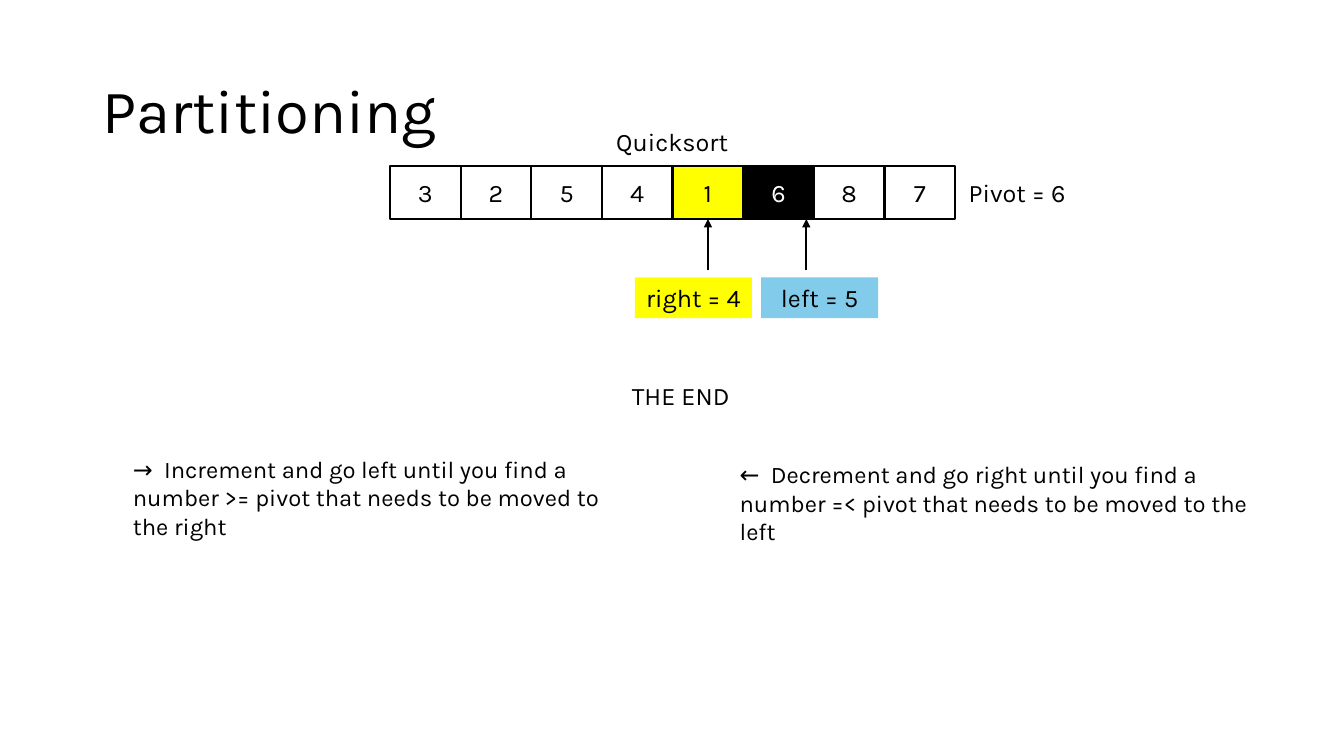
from lxml import etree
from pptx import Presentation
from pptx.dml.color import RGBColor
from pptx.enum import shapes, text
from pptx.oxml import ns
from pptx.util import Cm, Pt

FONT = "Karla"
BLACK, WHITE, YELLOW, BLUE = "000000", "FFFFFF", "FFFF00", "83CBEB"
LEFT = text.PP_ALIGN.LEFT
MID = text.PP_ALIGN.CENTER

VALUES = [3, 2, 5, 4, 1, 6, 8, 7]
MARKS = {4: (YELLOW, BLACK), 5: (BLACK, WHITE)}
ROW_X, ROW_Y, CELL_W, CELL_H = 9.83, 4.18, 1.78, 1.34
TAIL_Y = 6.81


def rgb(code):
    return RGBColor.from_string(code)


def write(frame, words, size=18, color=BLACK, align=LEFT):
    """Put one formatted run in the first paragraph of a text frame."""
    para = frame.paragraphs[0]
    para.alignment = align
    run = para.add_run()
    run.text = words
    run.font.name = FONT
    run.font.size = Pt(size)
    run.font.color.rgb = rgb(color)
    return para


def title(slide, words):
    shape = slide.shapes.title
    shape.left, shape.top = Cm(2.33), Cm(1.01)
    shape.width, shape.height = Cm(29.21), Cm(3.68)
    frame = shape.text_frame
    frame.auto_size = text.MSO_AUTO_SIZE.NONE
    frame.vertical_anchor = text.MSO_ANCHOR.MIDDLE
    write(frame, words, 44).line_spacing = 0.9


def note(slide, words, x, y, w, h=1.03, size=18, align=LEFT):
    frame = slide.shapes.add_textbox(Cm(x), Cm(y), Cm(w), Cm(h)).text_frame
    frame.word_wrap = True
    write(frame, words, size, align=align)


def box(slide, words, x, y, w, h, fill, color=BLACK, edge=None):
    shape = slide.shapes.add_shape(
        shapes.MSO_SHAPE.RECTANGLE, Cm(x), Cm(y), Cm(w), Cm(h))
    shape.shadow.inherit = False
    shape.fill.solid()
    shape.fill.fore_color.rgb = rgb(fill)
    if edge:
        shape.line.color.rgb = rgb(edge)
        shape.line.width = Pt(1.5)
    else:
        shape.line.fill.background()
    frame = shape.text_frame
    frame.word_wrap = False
    frame.vertical_anchor = text.MSO_ANCHOR.MIDDLE
    write(frame, words, color=color, align=MID)
    return shape


def row(slide):
    """Draw the array and return its cells."""
    cells = []
    for i, value in enumerate(VALUES):
        fill, color = MARKS.get(i, (WHITE, BLACK))
        cells.append(box(slide, str(value), ROW_X + i * CELL_W, ROW_Y,
                         CELL_W, CELL_H, fill, color, BLACK))
    return cells


def arrow(slide, x, cell=None):
    """Point up at the array, joined to a cell when one is given."""
    line = slide.shapes.add_connector(
        shapes.MSO_CONNECTOR.STRAIGHT,
        Cm(x), Cm(TAIL_Y), Cm(x), Cm(ROW_Y + CELL_H))
    if cell is not None:
        line.end_connect(cell, 2)
    line.line.color.rgb = rgb(BLACK)
    line.line.width = Pt(1.5)
    edge = line.line._get_or_add_ln()
    etree.SubElement(edge, ns.qn("a:tailEnd"), type="triangle")
    etree.SubElement(line._element.spPr, ns.qn("a:effectLst"))


def main():
    deck = Presentation()
    deck.slide_width, deck.slide_height = Cm(33.87), Cm(19.05)
    slide = deck.slides.add_slide(deck.slide_layouts[5])

    title(slide, "Partitioning")
    cells = row(slide)
    note(slide, "Quicksort", 13.56, 3.07, 6.76, align=MID)
    note(slide, "Pivot = 6", 24.16, 4.34, 3.25)
    note(slide, "→  Increment and go left until you find a number >= pivot "
         "that needs to be moved to the right", 3.1, 11.33, 13.08, 1.7, 17)
    note(slide, "←  Decrement and go right until you find a number =< pivot "
         "that needs to be moved to the left", 18.39, 11.46, 13.56, 1.7, 17)
    note(slide, "THE END", 7.39, 9.47, 19.53, align=MID)

    arrow(slide, ROW_X + 4.5 * CELL_W, cells[4])
    arrow(slide, 20.32)
    box(slide, "right = 4", 16, 6.99, 2.95, 1.03, YELLOW)
    box(slide, "left = 5", 19.18, 6.99, 2.95, 1.03, BLUE)
    deck.save("out.pptx")


if __name__ == "__main__":
    main()
